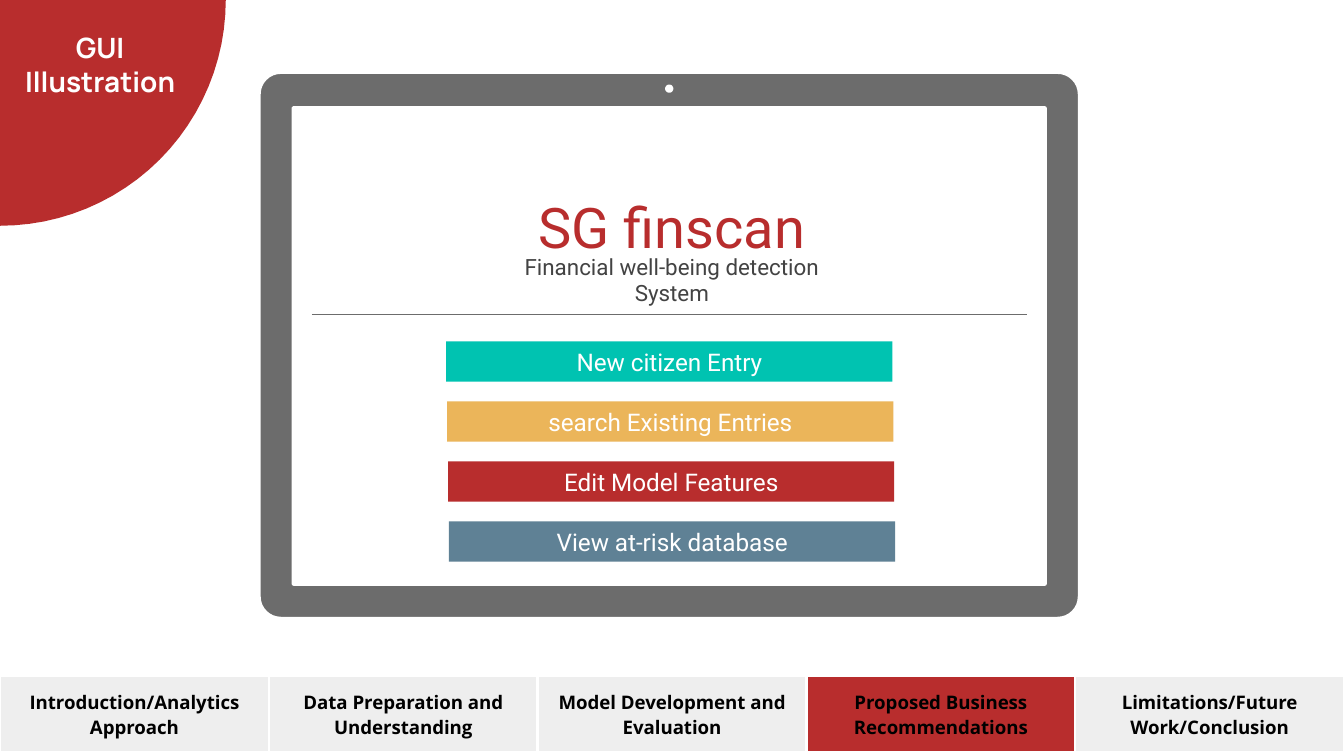
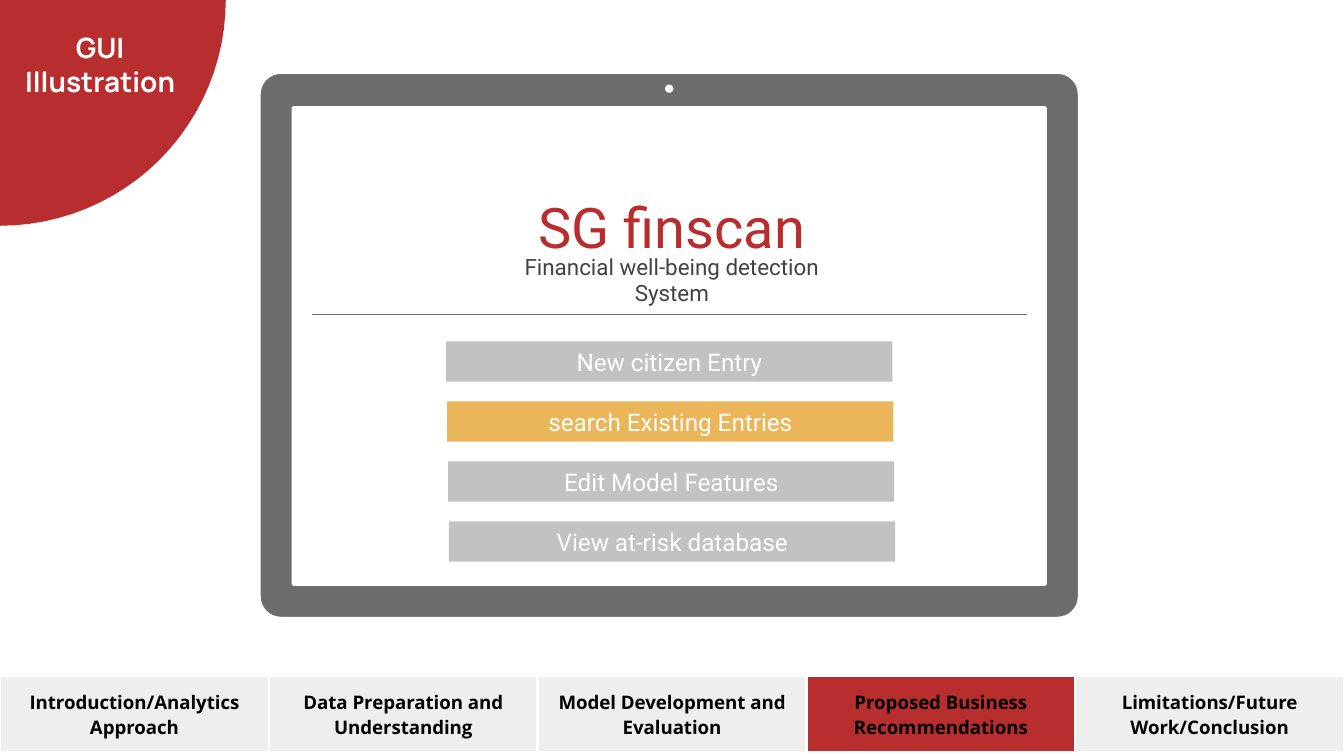
"""Builds two slides showing the start screen of the SG finscan system."""
from dataclasses import dataclass
from math import cos, pi, sin

from lxml.etree import SubElement
from pptx import Presentation
from pptx.dml.color import RGBColor
from pptx.enum.shapes import MSO_CONNECTOR as Connector, MSO_SHAPE as Shape
from pptx.enum.text import MSO_ANCHOR as Anchor, PP_ALIGN as Align
from pptx.oxml.ns import qn
from pptx.util import Inches, Pt


@dataclass(frozen=True)
class Theme:
    red: str = "B82D2D"
    teal: str = "00C3B1"
    amber: str = "EBB55A"
    slate: str = "5F8195"
    muted: str = "C2C2C2"
    bezel: str = "6C6C6C"
    body: str = "434343"
    tab: str = "EEEEEE"
    white: str = "FFFFFF"
    black: str = "000000"
    screen_font: str = "Roboto"
    heading_font: str = "Manrope"
    tab_font: str = "Open Sans"
    product_size: int = 30
    heading_size: int = 15
    button_size: int = 13
    tagline_size: int = 12
    tab_size: int = 10
    outline: float = 1.5
    rule: float = 0.75


THEME = Theme()
HEADING = ["GUI", "Illustration"]
PRODUCT = "SG finscan"
TAGLINE = "Financial well-being detection System"
MENU = [
    ("New citizen Entry", THEME.teal),
    ("search Existing Entries", THEME.amber),
    ("Edit Model Features", THEME.red),
    ("View at-risk database", THEME.slate),
]
SECTIONS = [
    "Introduction/Analytics Approach",
    "Data Preparation and Understanding",
    "Model Development and Evaluation",
    "Proposed Business Recommendations",
    "Limitations/Future Work/Conclusion",
]
CURRENT_SECTION = "Proposed Business Recommendations"
SCREENS = [
    [label for label, _ in MENU],
    ["search Existing Entries"],
]

SLIDE_WIDTH = 10
SLIDE_HEIGHT = SLIDE_WIDTH * 9 / 16
CORNER_RADIUS = 1.68
BEZEL = (1.93, 0.54, 8.03, 4.6)
DISPLAY = (2.18, 0.8, 7.78, 4.35)
CAMERA = (4.98, 0.66, 0.02)
FIRST_BUTTON, LAST_BUTTON = (3.32, 2.54), (3.34, 3.88)
BUTTON_WIDTH, BUTTON_HEIGHT = 3.32, 0.3
NAV_TOP, NAV_HEIGHT = 5.03, 0.57


def assign(target, values):
    for attribute, value in values.items():
        setattr(target, attribute, value)


def paint(fill, colour):
    fill.solid()
    fill.fore_color.rgb = RGBColor.from_string(colour)


def write(frame, lines, font, size, colour, bold=False):
    for index, line in enumerate(lines):
        paragraph = frame.paragraphs[0] if index == 0 else frame.add_paragraph()
        paragraph.text = line
        paragraph.alignment = Align.CENTER
        assign(paragraph.font, {"name": font, "size": Pt(size), "bold": bold})
        paragraph.font.color.rgb = RGBColor.from_string(colour)


def set_margins(target, anchor=Anchor.MIDDLE, bottom=0.1):
    assign(target, {
        "vertical_anchor": anchor,
        "margin_left": Inches(0.1),
        "margin_right": Inches(0.1),
        "margin_top": Inches(0.1),
        "margin_bottom": Inches(bottom),
    })


def add_label(slide, box, lines, font, size, colour, bold=False, **layout):
    label = slide.shapes.add_textbox(*map(Inches, box))
    label.text_frame.word_wrap = True
    set_margins(label.text_frame, **layout)
    write(label.text_frame, lines, font, size, colour, bold)


def arc(x, y, radius, start, end, steps=24):
    angles = [start + (end - start) * step / steps for step in range(steps + 1)]
    return [(x + radius * cos(a), y + radius * sin(a)) for a in angles]


def rounded(left, top, right, bottom, radius):
    corners = [
        (right - radius, bottom - radius),
        (left + radius, bottom - radius),
        (left + radius, top + radius),
        (right - radius, top + radius),
    ]
    return [
        point
        for turn, (x, y) in enumerate(corners)
        for point in arc(x, y, radius, turn * pi / 2, (turn + 1) * pi / 2, 8)
    ]


def add_outline(slide, contours, colour):
    contours = [[(Inches(x), Inches(y)) for x, y in contour] for contour in contours]
    builder = slide.shapes.build_freeform(*contours[0][0])
    for index, contour in enumerate(contours):
        if index:
            builder.move_to(*contour[0])
        builder.add_line_segments(contour[1:], close=True)
    outline = builder.convert_to_shape()
    outline.shadow.inherit = False
    paint(outline.fill, colour)
    outline.line.fill.background()
    return outline


def add_corner(slide):
    quarter = [(0, 0)] + arc(0, 0, CORNER_RADIUS, 0, pi / 2)
    add_outline(slide, [quarter], THEME.red)


def add_tablet(slide):
    tablet = add_outline(slide, [
        rounded(*BEZEL, 0.16),
        rounded(*DISPLAY, 0.01),
        arc(*CAMERA, 0, 2 * pi),
    ], THEME.bezel)
    paint(tablet.line.fill, THEME.white)
    tablet.line.width = Pt(THEME.outline)


def add_divider(slide):
    ends = map(Inches, (2.32, 2.34, 7.64, 2.34))
    divider = slide.shapes.add_connector(Connector.STRAIGHT, *ends)
    paint(divider.line.fill, THEME.bezel)
    divider.line.width = Pt(THEME.rule)
    SubElement(divider._element.spPr, qn("a:effectLst"))


def add_menu(slide, active):
    for index, (label, colour) in enumerate(MENU):
        share = index / (len(MENU) - 1)
        left, top = (a + (b - a) * share for a, b in zip(FIRST_BUTTON, LAST_BUTTON))
        box = map(Inches, (left, top, BUTTON_WIDTH, BUTTON_HEIGHT))
        button = slide.shapes.add_shape(Shape.RECTANGLE, *box)
        button.shadow.inherit = False
        paint(button.fill, colour if label in active else THEME.muted)
        button.line.fill.background()
        button.text_frame.word_wrap = True
        set_margins(button.text_frame)
        write(button.text_frame, [label], THEME.screen_font, THEME.button_size, THEME.white)


def add_borders(cell):
    properties = cell._tc.get_or_add_tcPr()
    for side in ("a:lnL", "a:lnR", "a:lnT", "a:lnB"):
        border = SubElement(properties, qn(side), w=str(Pt(THEME.outline)))
        solid = SubElement(border, qn("a:solidFill"))
        SubElement(solid, qn("a:srgbClr"), val=THEME.white)


def add_navigation(slide):
    box = map(Inches, (0, NAV_TOP, SLIDE_WIDTH, NAV_HEIGHT))
    navigation = slide.shapes.add_table(1, len(SECTIONS), *box).table
    assign(navigation, {"first_row": False, "horz_banding": False})
    for cell, section in zip(navigation.rows[0].cells, SECTIONS):
        add_borders(cell)
        paint(cell.fill, THEME.red if section == CURRENT_SECTION else THEME.tab)
        set_margins(cell)
        write(cell.text_frame, [section], THEME.tab_font, THEME.tab_size, THEME.black, True)


def add_screen(deck, active):
    slide = deck.slides.add_slide(deck.slide_layouts[6])
    paint(slide.background.fill, THEME.white)
    add_corner(slide)
    add_label(slide, (3.6, 1.78, 2.8, 0.35), [TAGLINE], THEME.screen_font,
              THEME.tagline_size, THEME.body, anchor=Anchor.TOP)
    add_tablet(slide)
    add_divider(slide)
    add_menu(slide, active)
    add_label(slide, (3.6, 1.51, 2.8, 0.35), [PRODUCT], THEME.screen_font,
              THEME.product_size, THEME.red)
    add_navigation(slide)
    add_label(slide, (-0.59, 0.27, 2.67, 0.67), HEADING, THEME.heading_font,
              THEME.heading_size, THEME.white, bold=True, bottom=0.35)


def main():
    deck = Presentation()
    assign(deck, {"slide_width": Inches(SLIDE_WIDTH), "slide_height": Inches(SLIDE_HEIGHT)})
    for active in SCREENS:
        add_screen(deck, active)
    deck.save("out.pptx")


if __name__ == "__main__":
    main()
